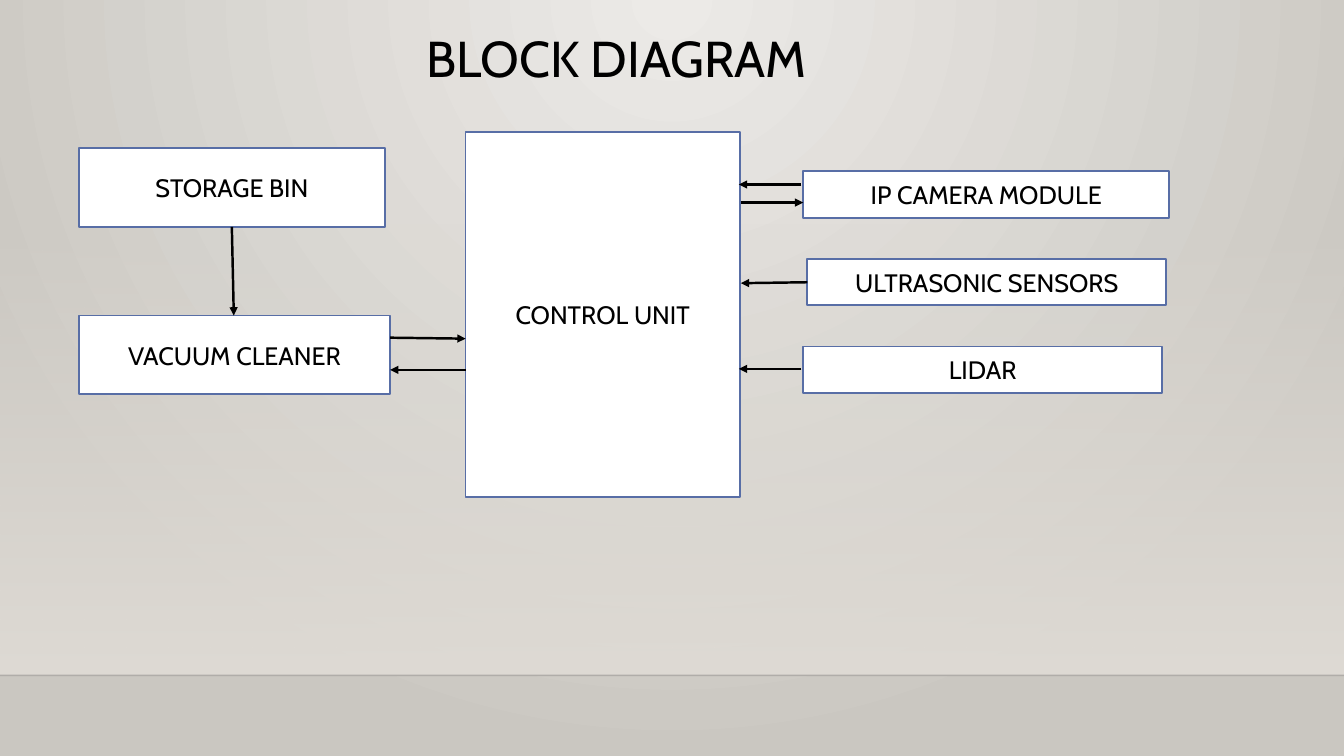
from dataclasses import dataclass

import pptx
import pptx.dml.color
import pptx.enum.dml
import pptx.enum.shapes
import pptx.enum.text
import pptx.oxml
import pptx.oxml.ns
import pptx.presentation
import pptx.shapes.base
import pptx.slide
import pptx.text.text
import pptx.util
from lxml import etree

Pt = pptx.util.Pt
qn = pptx.oxml.ns.qn

SLIDE_WIDTH, SLIDE_HEIGHT = 960, 540
FLOOR_TOP = 482.4
SENSOR_TOP, SENSOR_PITCH, SENSOR_HEIGHT = 122.4, 62.6, 33.1
SIDE_HEIGHT = 56.2
FONT = "Cabin"
BLACK, WHITE, OUTLINE, WALL = "000000", "FFFFFF", "586EA6", "DFDBD5"


@dataclass(frozen=True)
class Block:
    label: str
    left: float
    top: float
    width: float
    height: float


@dataclass(frozen=True)
class Arrow:
    start: tuple[float, float]
    end: tuple[float, float]


BLOCKS = [
    Block("CONTROL UNIT", 332.6, 94.3, 195.8, 260.6),
    *(
        Block(label, left, SENSOR_TOP + row * SENSOR_PITCH, width, SENSOR_HEIGHT)
        for row, (label, left, width) in enumerate([
            ("IP CAMERA MODULE", 573.8, 261.4),
            ("ULTRASONIC SENSORS", 576.7, 256.3),
            ("LIDAR", 573.8, 256.3),
        ])
    ),
    Block("VACUUM CLEANER", 56.2, 225.4, 222.5, SIDE_HEIGHT),
    Block("STORAGE BIN", 56.2, 105.8, 218.9, SIDE_HEIGHT),
]

ARROWS = [
    Arrow((278.6, 241.2), (332.6, 241.9)),
    Arrow((332.6, 264.2), (278.6, 264.2)),
    Arrow((572.4, 131.8), (527.8, 131.8)),
    Arrow((529.2, 144.7), (573.8, 144.7)),
    Arrow((576.7, 201.6), (529.2, 202.3)),
    Arrow((572.4, 263.5), (527.8, 263.5)),
    Arrow((165.6, 162), (167, 225.4)),
]


def color(hex_value: str) -> pptx.dml.color.RGBColor:
    return pptx.dml.color.RGBColor.from_string(hex_value)


def apply_format(target: object, values: dict[str, object]) -> None:
    for name, value in values.items():
        setattr(target, name, value)


def set_opacity(parent: etree._Element, percent: int) -> None:
    """Give the first RGB colour under parent an alpha value."""
    rgb = next(parent.iter(qn("a:srgbClr")))
    etree.SubElement(rgb, qn("a:alpha"), val=str(percent * 1000))


def write_text(frame: pptx.text.text.TextFrame, text: str, size: float) -> None:
    run = frame.paragraphs[0].add_run()
    run.text = text
    apply_format(run.font, {"name": FONT, "size": Pt(size)})
    run.font.color.rgb = color(BLACK)


def paint_background(slide: pptx.slide.Slide) -> None:
    fill = slide.background.fill
    fill.gradient()
    for stop, shade in zip(fill.gradient_stops, ["ECEAE7", "CAC7C1"]):
        stop.color.rgb = color(shade)
    gradient = next(slide.element.iter(qn("a:gradFill")))
    gradient.remove(gradient.find(qn("a:lin")))
    circle = etree.Element(qn("a:path"), {"path": "circle"})
    etree.SubElement(circle, qn("a:fillToRect"), l="43000", t="0", r="43000", b="100000")
    gradient.find(qn("a:gsLst")).addnext(circle)


def add_rectangle(
    slide: pptx.slide.Slide, left: float, top: float, width: float, height: float
) -> pptx.shapes.base.BaseShape:
    shape = slide.shapes.add_shape(
        pptx.enum.shapes.MSO_SHAPE.RECTANGLE, Pt(left), Pt(top), Pt(width), Pt(height)
    )
    shape.shadow.inherit = False
    return shape


def add_wall_fade(slide: pptx.slide.Slide) -> None:
    """Fade the wall from clear to solid down to the floor line."""
    top = 159.1
    wall = add_rectangle(slide, 0, top, SLIDE_WIDTH, FLOOR_TOP - top)
    wall.line.fill.background()
    wall.fill.gradient()
    wall.fill.gradient_angle = 270
    for stop in wall.fill.gradient_stops:
        stop.color.rgb = color(WALL)
    set_opacity(wall.element.spPr, 0)


def add_line(
    slide: pptx.slide.Slide,
    start: tuple[float, float],
    end: tuple[float, float],
    shade: str,
    width: float,
) -> etree._Element:
    """Draw a straight line and return its outline element."""
    connector = slide.shapes.add_connector(
        pptx.enum.shapes.MSO_CONNECTOR.STRAIGHT, *(Pt(value) for value in (*start, *end))
    )
    connector.line.color.rgb = color(shade)
    connector.line.width = Pt(width)
    properties = connector.element.spPr
    etree.SubElement(properties, qn("a:effectLst"))
    return properties.find(qn("a:ln"))


def add_title(slide: pptx.slide.Slide) -> None:
    box = slide.shapes.add_textbox(Pt(297.4), Pt(15.8), Pt(365.8), Pt(51.1))
    apply_format(box.text_frame, {
        "word_wrap": True,
        "auto_size": pptx.enum.text.MSO_AUTO_SIZE.SHAPE_TO_FIT_TEXT,
    })
    write_text(box.text_frame, "BLOCK DIAGRAM", 36)


def add_block(slide: pptx.slide.Slide, block: Block) -> None:
    shape = add_rectangle(slide, block.left, block.top, block.width, block.height)
    shape.fill.solid()
    shape.fill.fore_color.rgb = color(WHITE)
    shape.line.color.rgb = color(OUTLINE)
    shape.line.width = Pt(1.25)
    frame = shape.text_frame
    apply_format(frame, {
        "word_wrap": True,
        "vertical_anchor": pptx.enum.text.MSO_ANCHOR.MIDDLE,
    })
    frame.paragraphs[0].alignment = pptx.enum.text.PP_ALIGN.CENTER
    write_text(frame, block.label, 18)


def add_arrow(slide: pptx.slide.Slide, arrow: Arrow) -> None:
    outline = add_line(slide, arrow.start, arrow.end, BLACK, 1.75)
    etree.SubElement(outline, qn("a:tailEnd"), type="triangle")


def main() -> None:
    presentation = pptx.Presentation()
    apply_format(presentation, {
        "slide_width": Pt(SLIDE_WIDTH),
        "slide_height": Pt(SLIDE_HEIGHT),
    })
    slide = presentation.slides.add_slide(presentation.slide_layouts[6])
    paint_background(slide)
    add_wall_fade(slide)
    floor_line = add_line(slide, (0, FLOOR_TOP), (SLIDE_WIDTH, FLOOR_TOP), "000001", 1)
    set_opacity(floor_line, 20)
    add_title(slide)
    for block in BLOCKS:
        add_block(slide, block)
    for arrow in ARROWS:
        add_arrow(slide, arrow)
    presentation.save("out.pptx")


if __name__ == "__main__":
    main()
